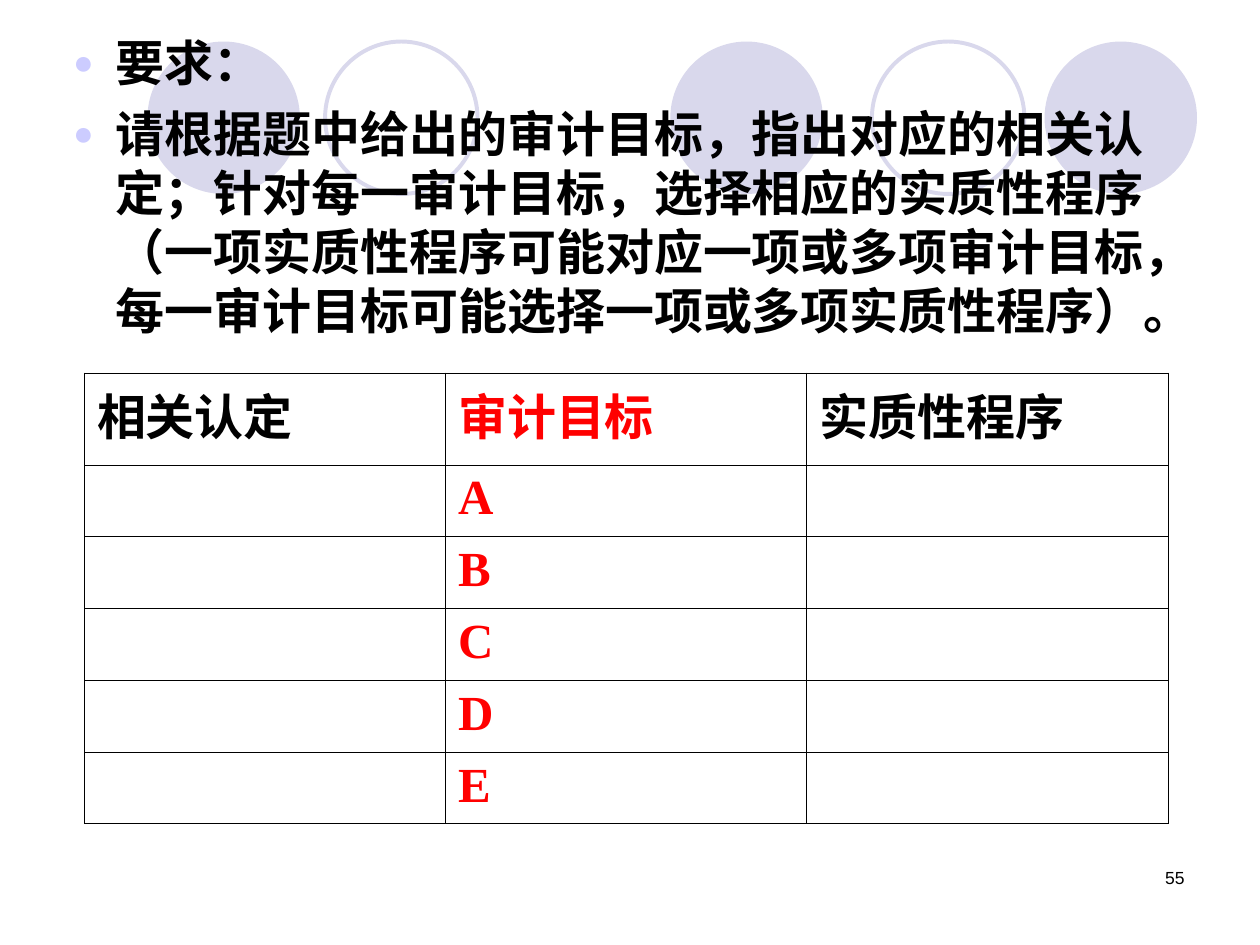
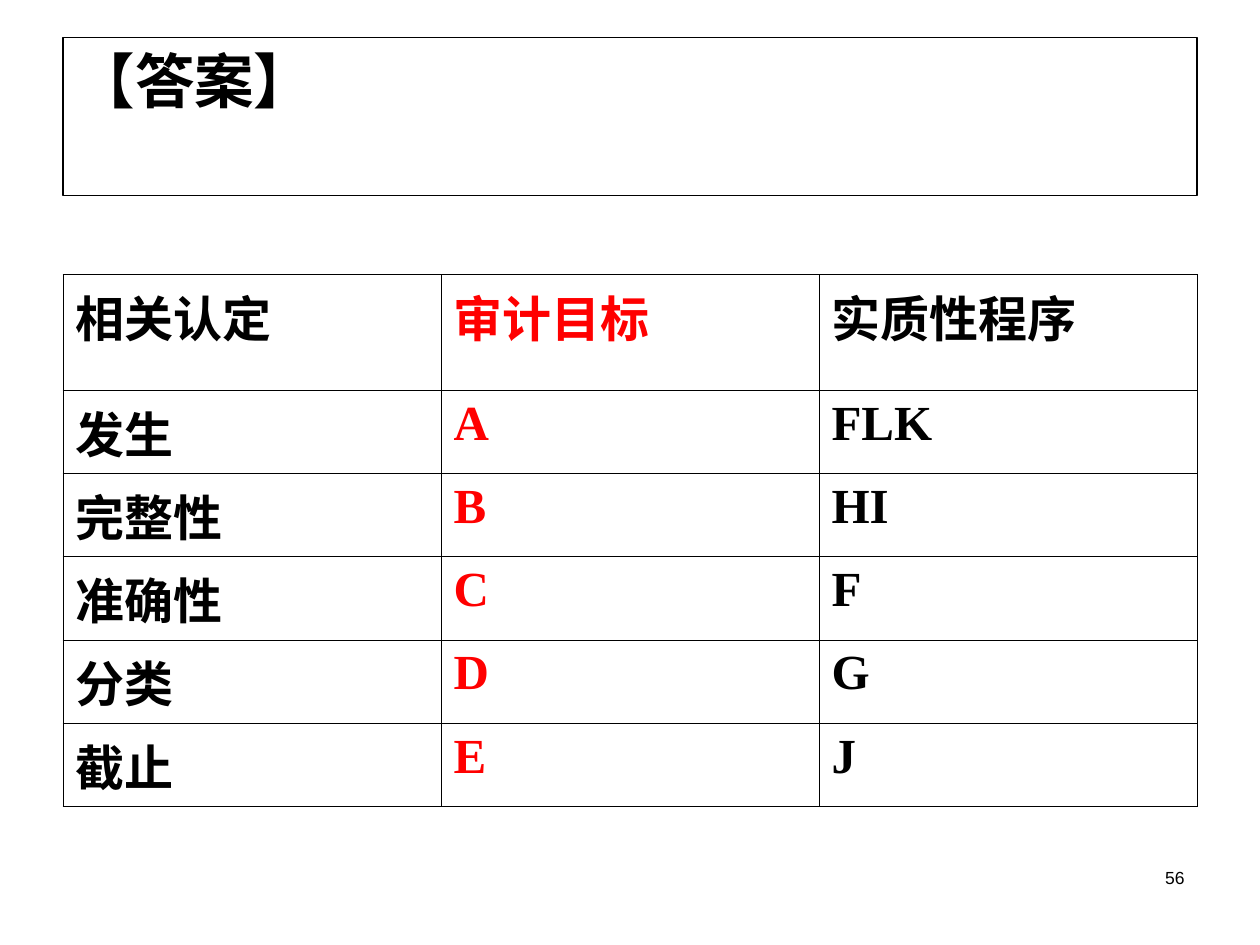
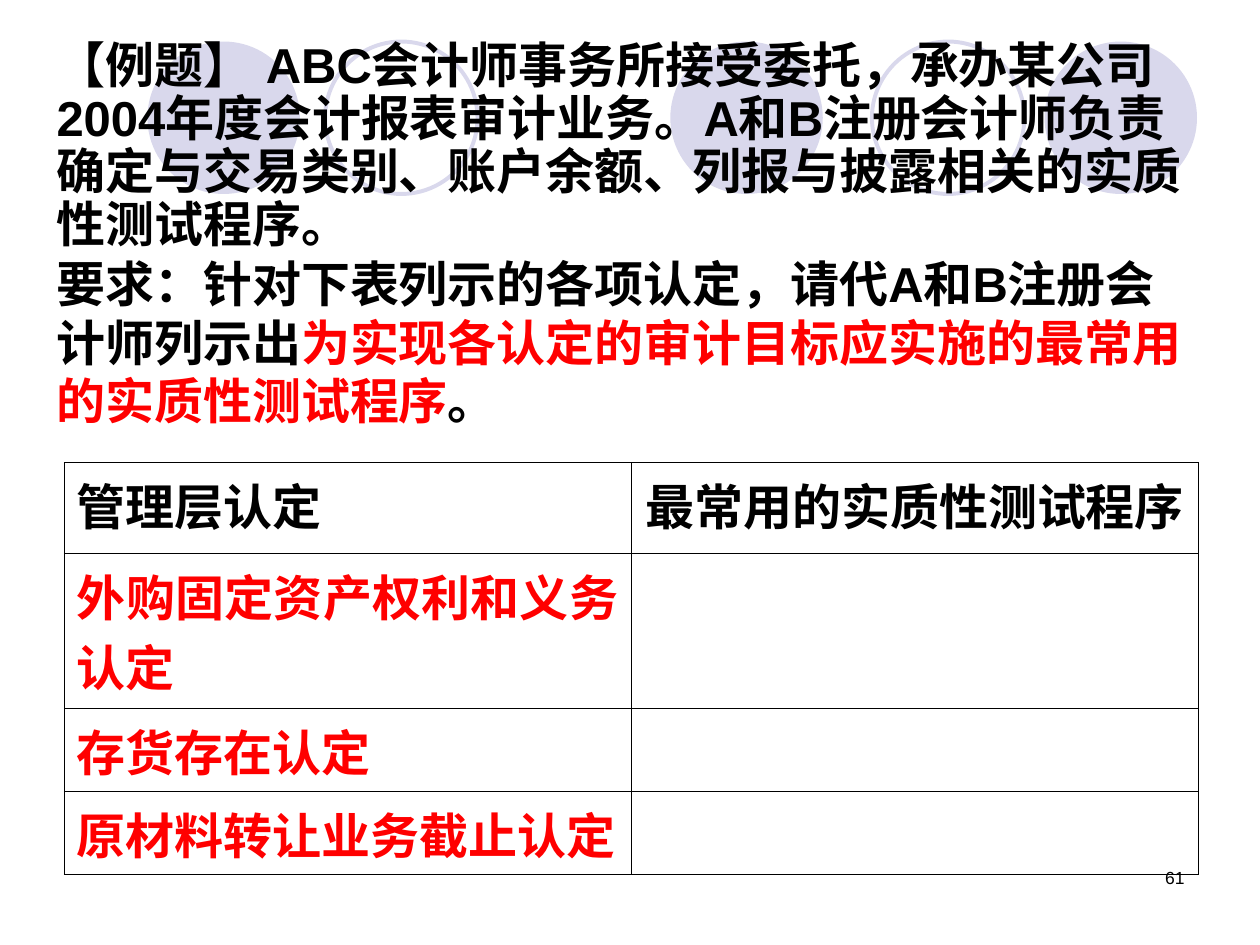
from lxml import etree
from pptx import Presentation
from pptx import util as u
from pptx.dml.color import RGBColor
from pptx.enum import shapes, text
from pptx.oxml.ns import qn

COLORS = {"black": "000000", "white": "FFFFFF", "red": "FF0000",
          "circle": "D9D8EC", "bullet": "CCCCFF"}
SANS, SERIF, CJK = "Arial", "Times New Roman", "Noto Sans CJK SC"
LEFT, CENTER, RIGHT, JUSTIFY = (text.PP_ALIGN.LEFT, text.PP_ALIGN.CENTER,
                                text.PP_ALIGN.RIGHT, text.PP_ALIGN.JUSTIFY)

CIRCLES = [(1.17, True), (2.58, False), (5.32, True), (6.92, False), (8.29, True)]
CIRCLE_TOP, CIRCLE_SIZE = 0.33, 1.21

REQUIREMENTS = [
    "要求：",
    "请根据题中给出的审计目标，指出对应的相关认定；针对每一审计目标，选择相应的实质性程序"
    "（一项实质性程序可能对应一项或多项审计目标，每一审计目标可能选择一项或多项实质性程序）。",
]
ANSWER_TITLE = "【答案】"
HEADER = ["相关认定", "审计目标", "实质性程序"]
ANSWERS = [
    ["发生", "A", "FLK"],
    ["完整性", "B", "HI"],
    ["准确性", "C", "F"],
    ["分类", "D", "G"],
    ["截止", "E", "J"],
]
QUESTIONS = [["", goal, ""] for _, goal, _ in ANSWERS]
EXAMPLE = [
    [("【例题】 ABC会计师事务所接受委托，承办某公司2004年度会计报表审计业务。"
      "A和B注册会计师负责确定与交易类别、账户余额、列报与披露相关的实质性测试程序。", "black")],
    [("要求：针对下表列示的各项认定，请代A和B注册会计师列示出", "black"),
     ("为实现各认定的审计目标应实施的最常用的实质性测试程序", "red"),
     ("。", "black")],
]
ASSERTIONS = [
    ["管理层认定", "最常用的实质性测试程序"],
    ["外购固定资产权利和义务认定", ""],
    ["存货存在认定", ""],
    ["原材料转让业务截止认定", ""],
]


def rgb(name):
    return RGBColor.from_string(COLORS[name])


def place(shape, left, top, width, height):
    shape.left, shape.top = u.Inches(left), u.Inches(top)
    shape.width, shape.height = u.Inches(width), u.Inches(height)


def add_run(paragraph, words, size=28, color="black", font=SANS, bold=True):
    run = paragraph.add_run()
    run.text = words
    run.font.size, run.font.bold, run.font.name = u.Pt(size), bold, font
    run.font.color.rgb = rgb(color)
    etree.SubElement(run.font._element, qn("a:ea"), typeface=font)


def paragraphs(frame, count):
    return [frame.paragraphs[0]] + [frame.add_paragraph() for _ in range(count - 1)]


def add_text_box(slide, *box):
    frame = slide.shapes.add_textbox(*map(u.Inches, box)).text_frame
    frame.word_wrap = True
    return frame


def add_circles(master, slide):
    for left, filled in CIRCLES:
        circle = slide.shapes.add_shape(
            shapes.MSO_SHAPE.OVAL, *map(u.Inches, (left, CIRCLE_TOP, CIRCLE_SIZE, CIRCLE_SIZE)))
        circle.shadow.inherit = False
        if filled:
            circle.fill.solid()
            circle.fill.fore_color.rgb = rgb("circle")
            circle.line.fill.background()
        else:
            circle.fill.background()
            circle.line.color.rgb = rgb("circle")
            circle.line.width = u.Pt(2.25)
        master.element.cSld.spTree.append(circle.element)


def add_page_number(slide, number):
    paragraph = add_text_box(slide, 7.17, 6.83, 2.33, 0.5).paragraphs[0]
    paragraph.alignment = RIGHT
    add_run(paragraph, str(number), size=10, bold=False)


def add_borders(cell):
    properties = cell._tc.get_or_add_tcPr()
    for index, side in enumerate(("lnL", "lnR", "lnT", "lnB")):
        line = etree.Element(qn(f"a:{side}"), w=str(u.Pt(0.45)))
        fill = etree.SubElement(line, qn("a:solidFill"))
        etree.SubElement(fill, qn("a:srgbClr"), val=COLORS["black"])
        properties.insert(index, line)


def add_table(slide, rows, left, top, width, heights, is_red, alignment):
    columns = len(rows[0])
    table = slide.shapes.add_table(
        len(rows), columns, *map(u.Inches, (left, top, width, sum(heights)))).table
    table.first_row = table.horz_banding = False
    for column in table.columns:
        column.width = u.Inches(width / columns)
    for r, (row, height) in enumerate(zip(rows, heights)):
        table.rows[r].height = u.Inches(height)
        for c, words in enumerate(row):
            cell = table.cell(r, c)
            cell.fill.background()
            add_borders(cell)
            if words:
                paragraph = cell.text_frame.paragraphs[0]
                paragraph.alignment = alignment(r, c)
                add_run(paragraph, words, color="red" if is_red(r, c) else "black",
                        font=SERIF if words.isascii() else CJK)


def add_goal_table(slide, rows, left, top, width, heights):
    add_table(slide, [HEADER] + rows, left, top, width, heights,
              lambda r, c: c == 1, lambda r, c: JUSTIFY)


def add_bullet(paragraph):
    properties = paragraph._p.get_or_add_pPr()
    properties.set("marL", str(u.Inches(0.47)))
    properties.set("indent", str(u.Inches(-0.34)))
    color = etree.SubElement(properties, qn("a:buClr"))
    etree.SubElement(color, qn("a:srgbClr"), val=COLORS["bullet"])
    etree.SubElement(properties, qn("a:buSzPct"), val="70000")
    etree.SubElement(properties, qn("a:buFont"), typeface=SANS)
    etree.SubElement(properties, qn("a:buChar"), char="●")


def build_requirements(slide):
    slide.shapes.title.element.getparent().remove(slide.shapes.title.element)
    body = slide.placeholders[1]
    place(body, 0.35, 0.21, 9.37, 6.54)
    frame = body.text_frame
    frame.auto_size = text.MSO_AUTO_SIZE.NONE
    frame.margin_right = u.Inches(0.3)
    for index, (paragraph, words) in enumerate(
            zip(paragraphs(frame, len(REQUIREMENTS)), REQUIREMENTS)):
        add_bullet(paragraph)
        paragraph.space_before = u.Pt(7 if index else 0)
        add_run(paragraph, words)
    add_goal_table(slide, QUESTIONS, 0.67, 2.96, 8.6, [0.73] + [0.57] * 5)


def build_answers(slide):
    title = slide.shapes.title
    place(title, 0.5, 0.3, 9, 1.25)
    title.fill.solid()
    title.fill.fore_color.rgb = rgb("white")
    title.line.color.rgb = rgb("black")
    title.line.width = u.Pt(0.75)
    title.text_frame.vertical_anchor = text.MSO_ANCHOR.TOP
    title.text_frame.auto_size = text.MSO_AUTO_SIZE.NONE
    paragraph = title.text_frame.paragraphs[0]
    paragraph.alignment = LEFT
    add_run(paragraph, ANSWER_TITLE, size=34)
    add_goal_table(slide, ANSWERS, 0.5, 2.18, 9, [0.92] + [0.66] * 5)


def build_example(slide):
    add_table(slide, ASSERTIONS, 0.51, 3.67, 9, [0.72, 1.23, 0.66, 0.66],
              lambda r, c: r > 0,
              lambda r, c: JUSTIFY if r else (LEFT, CENTER)[c])
    frame = add_text_box(slide, 0.35, 0.28, 9.29, 3.18)
    frame.vertical_anchor = text.MSO_ANCHOR.MIDDLE
    for paragraph, runs, spacing in zip(paragraphs(frame, len(EXAMPLE)), EXAMPLE, (0.9, 1.0)):
        paragraph.line_spacing = spacing
        for words, color in runs:
            add_run(paragraph, words, color=color)


PAGES = [(55, 1, build_requirements), (56, 5, build_answers), (61, 6, build_example)]


def main():
    presentation = Presentation()
    presentation.slide_width, presentation.slide_height = u.Inches(10), u.Inches(7.5)
    for number, layout, build in PAGES:
        slide = presentation.slides.add_slide(presentation.slide_layouts[layout])
        if number == PAGES[0][0]:
            add_circles(presentation.slide_master, slide)
        add_page_number(slide, number)
        build(slide)
    presentation.save("out.pptx")


if __name__ == "__main__":
    main()
